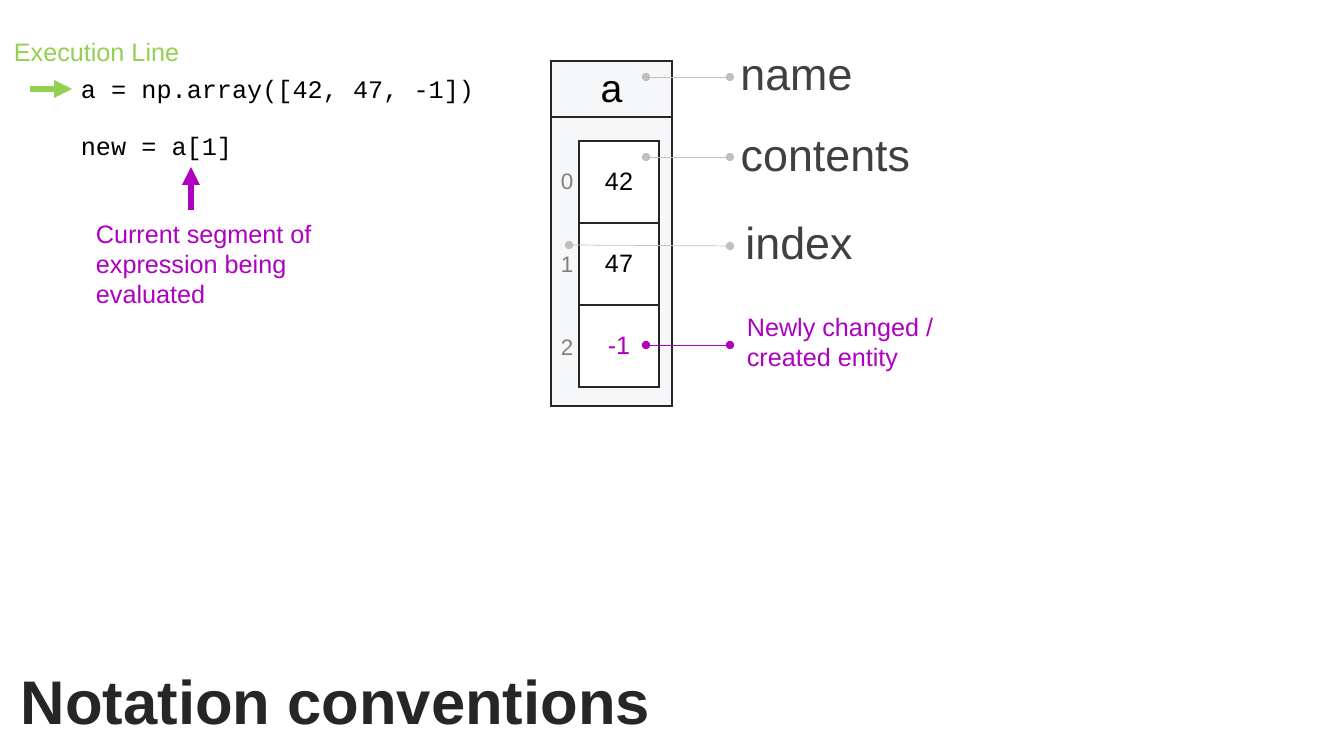
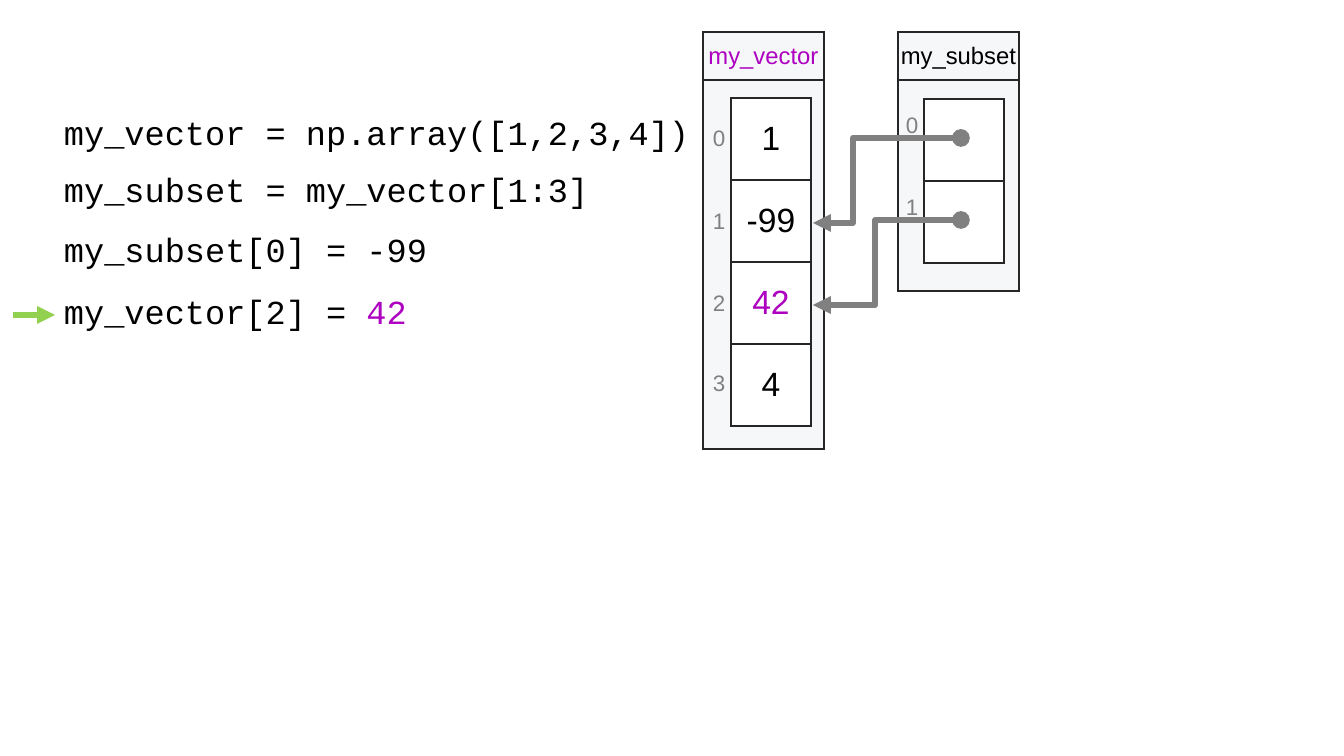
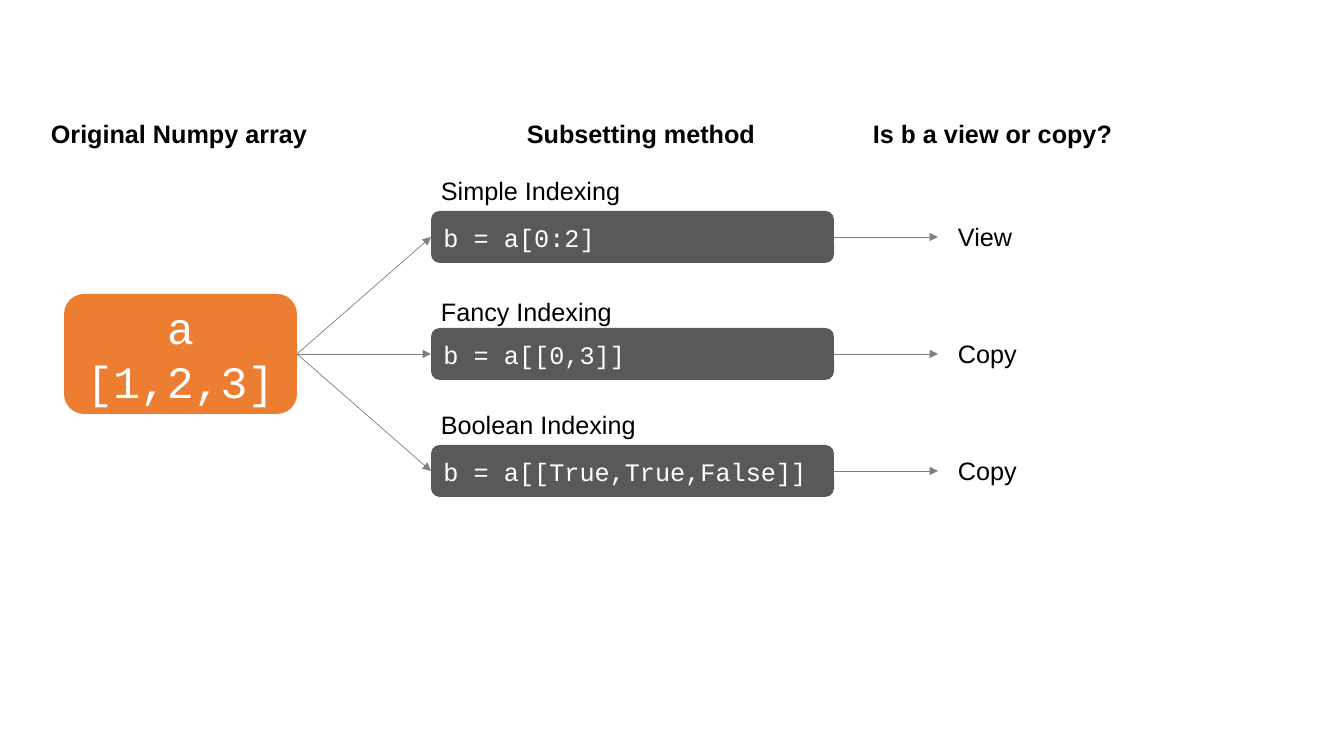
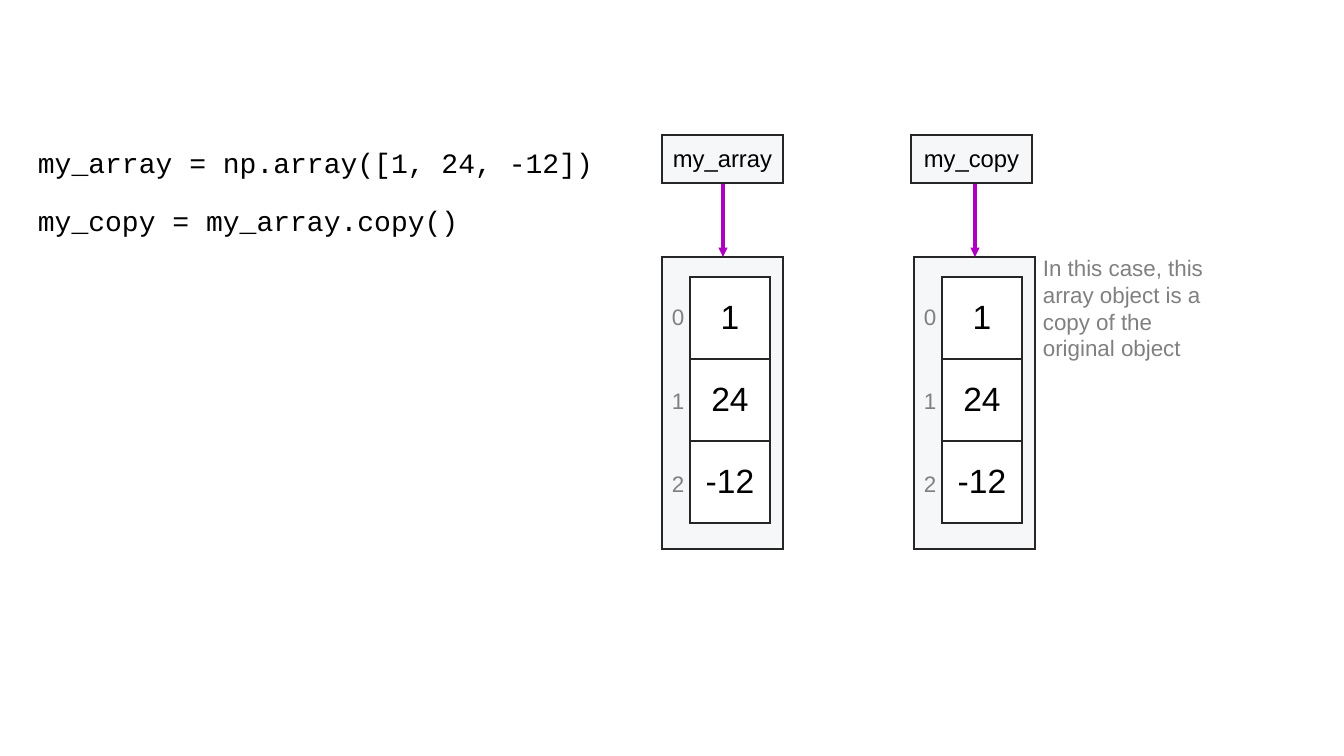
from lxml.etree import SubElement
from pptx import Presentation
from pptx.dml.color import RGBColor
from pptx.enum.shapes import MSO_CONNECTOR, MSO_SHAPE
from pptx.enum.text import MSO_ANCHOR, MSO_AUTO_SIZE, PP_ALIGN
from pptx.oxml.ns import qn
from pptx.util import Emu, Pt

EMU_PER_PIXEL = 914400 / 100.8
SLIDE_SIZE = (1344, 756)

COLORS = {
    "black": "000000", "white": "FFFFFF", "title": "262626", "label": "404040",
    "gray": "808080", "light": "BFBFBF", "green": "92D050", "purple": "AD00C0",
    "frame": "F6F7F9", "border": "262626", "orange": "ED7D31", "dark": "595959",
}
SANS, MONO = "Arial", "Courier New"

# name: size, font, colour, bold, alignment, wrap
TEXT_STYLES = {
    "title": (44, SANS, "title", True, PP_ALIGN.LEFT, False),
    "heading": (18, SANS, "black", True, PP_ALIGN.LEFT, False),
    "body": (18, SANS, "black", False, PP_ALIGN.LEFT, False),
    "execution": (18, SANS, "green", False, PP_ALIGN.LEFT, False),
    "remark": (18, SANS, "purple", False, PP_ALIGN.LEFT, True),
    "small": (16, SANS, "gray", False, PP_ALIGN.LEFT, True),
    "label": (32, SANS, "label", False, PP_ALIGN.CENTER, False),
    "code": (18, MONO, "black", False, PP_ALIGN.LEFT, False),
    "code medium": (20, MONO, "black", False, PP_ALIGN.LEFT, False),
    "code large": (24, MONO, "black", False, PP_ALIGN.LEFT, False),
    "method": (18, MONO, "white", False, PP_ALIGN.LEFT, True),
    "source": (32, MONO, "white", False, PP_ALIGN.CENTER, True),
    "variable": (28, SANS, "black", False, PP_ALIGN.CENTER, True),
    "variable small": (17, SANS, "black", False, PP_ALIGN.CENTER, True),
    "value": (18, SANS, "black", False, PP_ALIGN.CENTER, True),
    "value large": (24, SANS, "black", False, PP_ALIGN.CENTER, True),
}

# name: colour, width in points, start, end
LINE_STYLES = {
    "execution": ("green", 4.25, None, "triangle"),
    "segment": ("purple", 4.25, None, "triangle"),
    "callout": ("light", 0.5, "oval", "oval"),
    "change": ("purple", 0.5, "oval", "oval"),
    "view": ("gray", 4.25, "oval", "triangle"),
    "flow": ("gray", 0.5, None, "triangle"),
    "reference": ("purple", 2.25, None, "triangle"),
}

# A run is (text, colour or None, font or None); plain strings are single runs.
# texts: content, style, left, top, width, height
# lines: style, start x, start y, end x, end y, optional bend share
# frames: left, top, row heights, name runs or None, name style, no insets
# cells: left, top, values, style, tops of the index numbers
NOTATION = {
    "frames": [(551, 61, (56, 289), "a", "variable", False)],
    "cells": [(579, 141, ["42", "47", [("-1", "purple", None)]], "value", (162, 245, 328))],
    "texts": [
        ("a = np.array([42, 47, -1])", "code", 71, 68, 415, 40),
        ("new = a[1]", "code", 71, 125, 172, 40),
        ("name", "label", 730, 41, 133, 64),
        ("contents", "label", 730, 122, 191, 64),
        ("index", "label", 735, 210, 128, 64),
        ("Execution Line", "execution", 4, 31, 187, 40),
        ("Current segment of expression being evaluated", "remark", 86, 213, 248, 102),
        ("Newly changed / created entity", "remark", 737, 306, 222, 72),
        ("Notation conventions", "title", 11, 658, 656, 85),
    ],
    "lines": [
        ("execution", 30, 89, 72, 89),
        ("segment", 191, 210, 191, 167),
        ("callout", 646, 77, 730, 77),
        ("callout", 646, 157, 730, 157),
        ("callout", 569, 245, 730, 246),
        ("change", 646, 345, 730, 345),
    ],
}

VIEW = {
    "frames": [
        (703, 32, (48, 369), [("my_vector", "purple", None)], "variable small", True),
        (898, 32, (48, 211), "my_subset", "variable small", True),
    ],
    "cells": [
        (731, 98, ["1", "-99", [("42", "purple", None)], "4"], "value large",
         (119, 202, 284, 364)),
        (924, 99, ["", ""], "value large", (106, 188)),
    ],
    "texts": [
        ("my_vector = np.array([1,2,3,4])", "code large", 54, 107, 650, 50),
        ("my_subset = my_vector[1:3]", "code large", 54, 164, 548, 50),
        ("my_subset[0] = -99", "code large", 54, 224, 386, 50),
        ([("my_vector[2] = ", None, None), ("42", "purple", None)],
         "code large", 54, 286, 366, 50),
    ],
    "lines": [
        ("execution", 13, 315, 55, 315),
        ("view", 961, 138, 813, 223, 0.73),
        ("view", 961, 220, 813, 305, 0.58),
    ],
}

HEADINGS = [
    ("Original Numpy array", "heading", 41, 113, 279, 40),
    ("Subsetting method", "heading", 517, 113, 251, 40),
    ([("Is ", None, None), ("b", None, MONO), (" a view or copy?", None, None)],
     "heading", 863, 113, 262, 40),
]
SOURCE_BOX = (64, 294, 233, 120)
SOURCE_LINES = ["a", "[1,2,3]"]
# method, label top, label width, code, result, result width
METHODS = [
    ("Simple Indexing", 170, 202, "b = a[0:2]", "View", 78),
    ("Fancy Indexing", 291, 193, "b = a[[0,3]]", "Copy", 80),
    ("Boolean Indexing", 404, 217, "b = a[[True,True,False]]", "Copy", 80),
]
METHOD_LEFT, METHOD_TOP, METHOD_WIDTH, METHOD_HEIGHT = 431, 211, 403, 52
METHOD_STEP = 117
RESULT_LEFT, RESULT_ARROW_END = 948, 938

COPY = {
    "frames": [
        (662, 135, (48,), "my_array", "variable small", True),
        (911, 135, (48,), "my_copy", "variable small", True),
        (662, 257, (292,), None, "variable small", True),
        (914, 257, (292,), None, "variable small", True),
    ],
    "cells": [(left, 277, ["1", "24", "-12"], "value large", (298, 382, 465))
              for left in (690, 942)],
    "texts": [
        ("my_array = np.array([1, 24, -12])", "code medium", 28, 141, 581, 44),
        ("my_copy = my_array.copy()", "code medium", 28, 199, 444, 44),
        ("In this case, this array object is a copy of the original object",
         "small", 1033, 249, 180, 119),
    ],
    "lines": [("reference", x, 184, x, 257) for x in (723, 975)],
}

FRAME_WIDTH, CELL_WIDTH, CELL_HEIGHT = 121, 80, 82
INDEX_OFFSET, INDEX_WIDTH, INDEX_HEIGHT = 28, 35, 37


def px(*lengths):
    """Turn pixel lengths into a list of EMU lengths."""
    return [Emu(round(length * EMU_PER_PIXEL)) for length in lengths]


def color(name):
    """Look up a palette colour."""
    return RGBColor.from_string(COLORS[name])


def write(text_frame, lines, style):
    """Fill a text frame with one paragraph per line, run by run."""
    size, font, text_color, bold, align, _ = TEXT_STYLES[style]
    for number, runs in enumerate(lines):
        paragraph = text_frame.add_paragraph() if number else text_frame.paragraphs[0]
        paragraph.alignment = align
        if isinstance(runs, str):
            runs = [(runs, None, None)]
        for text, run_color, run_font in runs:
            run = paragraph.add_run()
            run.text = text
            run.font.size = Pt(size)
            run.font.name = run_font or font
            run.font.bold = bold
            run.font.color.rgb = color(run_color or text_color)


def add_text(slide, content, style, left, top, width, height):
    """Add a text box in a named style."""
    text_frame = slide.shapes.add_textbox(*px(left, top, width, height)).text_frame
    text_frame.word_wrap = TEXT_STYLES[style][-1]
    text_frame.auto_size = MSO_AUTO_SIZE.SHAPE_TO_FIT_TEXT
    write(text_frame, [content], style)


def add_line(slide, style, start_x, start_y, end_x, end_y, bend=None):
    """Add a straight line, or an elbow turning at the given share of its width."""
    line_color, width, head, tail = LINE_STYLES[style]
    kind = MSO_CONNECTOR.ELBOW if bend else MSO_CONNECTOR.STRAIGHT
    connector = slide.shapes.add_connector(kind, *px(start_x, start_y, end_x, end_y))
    connector.line.color.rgb = color(line_color)
    connector.line.width = Pt(width)
    properties = connector.line._get_or_add_ln()
    for tag, end in (("a:headEnd", head), ("a:tailEnd", tail)):
        if end:
            SubElement(properties, qn(tag), type=end)
    shape_properties = connector._element.spPr
    SubElement(shape_properties, qn("a:effectLst"))
    if bend:
        adjustments = shape_properties.find(qn("a:prstGeom")).get_or_add_avLst()
        SubElement(adjustments, qn("a:gd"), name="adj1", fmla=f"val {round(bend * 100000)}")


def add_borders(cell):
    """Draw a one-point border around a table cell."""
    properties = cell._tc.get_or_add_tcPr()
    for side in ("a:lnL", "a:lnR", "a:lnT", "a:lnB"):
        border = SubElement(properties, qn(side), w=str(Pt(1)))
        fill = SubElement(border, qn("a:solidFill"))
        SubElement(fill, qn("a:srgbClr"), val=COLORS["border"])


def add_column(slide, left, top, width, heights, contents, style, fill, bare=False):
    """Add a one-column table; bare cells have no insets."""
    box = px(left, top, width, sum(heights))
    table = slide.shapes.add_table(len(heights), 1, *box).table
    table.first_row = table.horz_banding = False
    for row, height, content in zip(table.rows, heights, contents):
        row.height = px(height)[0]
        cell = row.cells[0]
        add_borders(cell)
        cell.fill.solid()
        cell.fill.fore_color.rgb = color(fill)
        cell.vertical_anchor = MSO_ANCHOR.MIDDLE
        if bare:
            cell.margin_left = cell.margin_right = cell.margin_top = cell.margin_bottom = 0
        if content:
            write(cell.text_frame, [content], style)


def add_box(slide, left, top, width, height, lines, style, fill):
    """Add a filled rounded box with text."""
    shape = slide.shapes.add_shape(MSO_SHAPE.ROUNDED_RECTANGLE, *px(left, top, width, height))
    shape.shadow.inherit = False
    shape.fill.solid()
    shape.fill.fore_color.rgb = color(fill)
    shape.line.fill.background()
    shape.text_frame.word_wrap = True
    shape.text_frame.vertical_anchor = MSO_ANCHOR.MIDDLE
    write(shape.text_frame, lines, style)


def draw_memory(slide, content):
    """Draw code beside its arrays in memory."""
    for left, top, heights, name, style, bare in content["frames"]:
        add_column(slide, left, top, FRAME_WIDTH, heights, [name, None], style, "frame", bare)
    for left, top, values, style, index_tops in content["cells"]:
        heights = [CELL_HEIGHT] * len(values)
        add_column(slide, left, top, CELL_WIDTH, heights, values, style, "white")
        for index, index_top in enumerate(index_tops):
            add_text(slide, str(index), "small", left - INDEX_OFFSET, index_top,
                     INDEX_WIDTH, INDEX_HEIGHT)
    for text in content["texts"]:
        add_text(slide, *text)
    for line in content["lines"]:
        add_line(slide, *line)


def draw_methods(slide):
    """Draw the subsetting methods and what each one returns."""
    for heading in HEADINGS:
        add_text(slide, *heading)
    left, top, width, height = SOURCE_BOX
    add_box(slide, *SOURCE_BOX, SOURCE_LINES, "source", "orange")
    method_right = METHOD_LEFT + METHOD_WIDTH
    for row, (method, label_top, label_width, code, result, result_width) in enumerate(METHODS):
        box_top = METHOD_TOP + row * METHOD_STEP
        middle = box_top + METHOD_HEIGHT / 2
        add_box(slide, METHOD_LEFT, box_top, METHOD_WIDTH, METHOD_HEIGHT,
                [code], "method", "dark")
        add_text(slide, method, "body", METHOD_LEFT, label_top, label_width, 40)
        add_text(slide, result, "body", RESULT_LEFT, middle - 21, result_width, 40)
        add_line(slide, "flow", left + width, top + height / 2, METHOD_LEFT, middle)
        add_line(slide, "flow", method_right, middle, RESULT_ARROW_END, middle)


def main():
    """Build and save the presentation."""
    presentation = Presentation()
    presentation.slide_width, presentation.slide_height = px(*SLIDE_SIZE)
    blank = presentation.slide_layouts[6]
    draw_memory(presentation.slides.add_slide(blank), NOTATION)
    draw_memory(presentation.slides.add_slide(blank), VIEW)
    draw_methods(presentation.slides.add_slide(blank))
    draw_memory(presentation.slides.add_slide(blank), COPY)
    presentation.save("out.pptx")


main()
